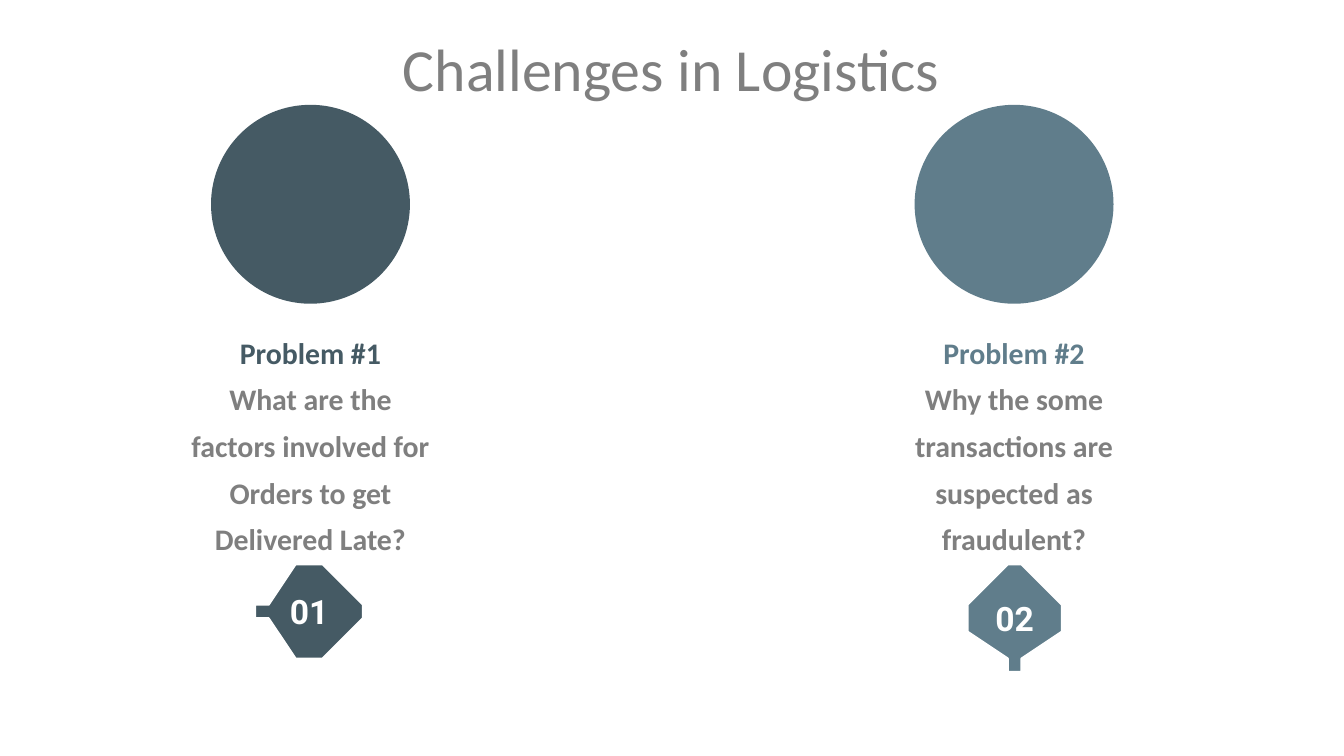
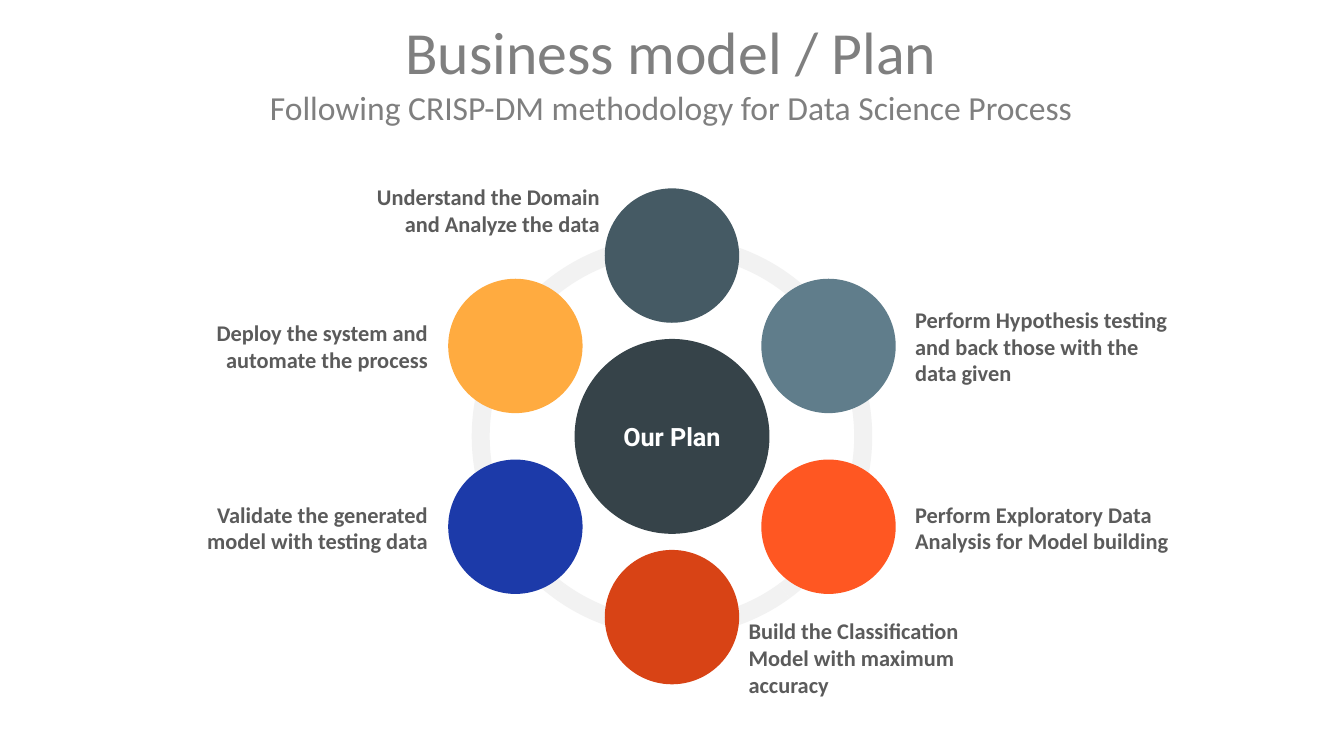
"""Two slides on logistics: the challenges and the plan."""
from copy import deepcopy
from dataclasses import dataclass
from math import cos, radians, sin

from pptx import Presentation, util as u
from pptx.dml.color import RGBColor
from pptx.enum import shapes, text

# The slide is a grid of square cells, 100 columns wide.
COLS, ROWS = 100, 56.25
CELL = u.Inches(0.1)

SLATE = RGBColor(0x45, 0x5A, 0x64)
STEEL = RGBColor(0x60, 0x7D, 0x8B)
CORAL = RGBColor(0xFF, 0x57, 0x22)
RUST = RGBColor(0xD8, 0x43, 0x15)
BLUE = RGBColor(0x1C, 0x3A, 0xA9)
AMBER = RGBColor(0xFF, 0xAB, 0x40)
DARK = RGBColor(0x36, 0x43, 0x49)
PALE = RGBColor(0xF2, 0xF2, 0xF2)
GREY = RGBColor(0x7F, 0x7F, 0x7F)
INK = RGBColor(0x5B, 0x5B, 0x5B)
WHITE = RGBColor(0xFF, 0xFF, 0xFF)

BODY, HEAD = "Calibri", "Roboto"
LEFT, MID, RIGHT = (text.PP_ALIGN.LEFT, text.PP_ALIGN.CENTER,
                    text.PP_ALIGN.RIGHT)
TOP, CORE = text.MSO_ANCHOR.TOP, text.MSO_ANCHOR.MIDDLE
OVAL, ARC = shapes.MSO_SHAPE.OVAL, shapes.MSO_SHAPE.BLOCK_ARC


@dataclass
class Line:
    """One run of text, set on a line of its own."""
    words: str
    size: float
    color: RGBColor
    name: str = BODY
    bold: bool = True


@dataclass
class Issue:
    """One problem column: its centre, texts and colour."""
    mid: float
    num: int
    ask: str
    color: RGBColor
    gem: float


@dataclass
class Step:
    """One stage of the plan, with the place of its label."""
    words: str
    color: RGBColor
    left: float
    top: float
    align: text.PP_ALIGN


ISSUES = [
    Issue(23.1, 1, "What are the factors involved for Orders to get "
          "Delivered Late?", SLATE, 45.75),
    Issue(75.45, 2, "Why the some transactions are suspected as "
          "fraudulent?", STEEL, 45.85),
]

# Clockwise from the top of the ring.
STEPS = [
    Step("Understand the Domain and Analyze the data",
         SLATE, 25.5, 14.7, RIGHT),
    Step("Perform Hypothesis testing and back those with the data given",
         STEEL, 68.1, 24.8, LEFT),
    Step("Perform Exploratory Data Analysis for Model building",
         CORAL, 68.1, 38.3, LEFT),
    Step("Build the Classification Model with maximum accuracy",
         RUST, 55.7, 48, LEFT),
    Step("Validate the generated model with testing data",
         BLUE, 12.7, 38.3, RIGHT),
    Step("Deploy the system and automate the process",
         AMBER, 12.7, 24.8, RIGHT),
]


def cells(*nums: float) -> list:
    """Turn grid counts into lengths."""
    return [u.Emu(round(n * CELL)) for n in nums]


def put(obj, **vals) -> None:
    """Set each named attribute of an object."""
    for key, val in vals.items():
        setattr(obj, key, val)


def write(shape, lines: list, align=MID, anchor=CORE, gap=None,
          pad=0.0) -> None:
    """Fill a shape with one paragraph of broken lines."""
    frame = shape.text_frame
    put(frame, word_wrap=True, auto_size=text.MSO_AUTO_SIZE.NONE,
        vertical_anchor=anchor)
    put(frame, **{f"margin_{side}": u.Inches(pad)
                  for side in ("left", "right", "top", "bottom")})
    para = frame.paragraphs[0]
    put(para, alignment=align, line_spacing=gap)
    last = None
    for line in lines:
        if last is not None:
            para.add_line_break()
            para._p[-1].append(deepcopy(last._r.rPr))
        last = para.add_run()
        last.text = line.words
        put(last.font, size=u.Pt(line.size), name=line.name,
            bold=line.bold)
        last.font.color.rgb = line.color


def head(slide, top: float, lines: list) -> None:
    """Place and write the slide title."""
    box = slide.shapes.title
    left, high, wide, tall = cells(4.2, top, 91.5, 5.4)
    put(box, left=left, top=high, width=wide, height=tall)
    write(box, lines)


def label(slide, at: tuple, lines: list, **form) -> None:
    """Add a text box at a place on the grid."""
    write(slide.shapes.add_textbox(*cells(*at)), lines, **form)


def paint(shape, color: RGBColor) -> None:
    """Give a shape a flat fill, with no line or shadow."""
    shape.shadow.inherit = False
    shape.fill.solid()
    shape.fill.fore_color.rgb = color
    shape.line.fill.background()


def disc(slide, x: float, y: float, size: float, color: RGBColor) -> None:
    """Draw a circle about a centre."""
    half = size / 2
    paint(slide.shapes.add_shape(
        OVAL, *cells(x - half, y - half, size, size)), color)


def gem(slide, x: float, y: float, color: RGBColor, word: str) -> None:
    """Draw a numbered diamond with round corners."""
    reach, bend = 2.8, 0.93
    dots = []
    for turn in range(0, 360, 90):
        for deg in range(turn - 45, turn + 46, 9):
            dots.append((
                x + reach * cos(radians(turn)) + bend * cos(radians(deg)),
                y + reach * sin(radians(turn)) + bend * sin(radians(deg))))
    path = slide.shapes.build_freeform(*dots[0], scale=float(CELL))
    path.add_line_segments(dots[1:], close=True)
    shape = path.convert_to_shape()
    paint(shape, color)
    shape.line.color.rgb = WHITE
    shape.line.width = u.Pt(1)
    write(shape, [Line(word, 18, WHITE, HEAD)], pad=0.05)


def ring(slide, x: float, y: float, size: float) -> None:
    """Draw the pale ring as a group of arcs."""
    group = slide.shapes.add_group_shape()
    marks = [*range(18, 199, 36), 18]
    for start, end in zip(marks, marks[1:]):
        arc = group.shapes.add_shape(
            ARC, *cells(x - size / 2, y - size / 2, size, size))
        for num, val in enumerate((start * 0.6, end * 0.6, 0.045)):
            arc.adjustments[num] = val
        paint(arc, PALE)


def issues(slide) -> None:
    """Build the slide of challenges."""
    head(slide, 2.3, [Line("Challenges in Logistics", 32, GREY, bold=False)])
    for one in ISSUES:
        disc(slide, one.mid, 15.2, 14.8, one.color)
        label(slide, (one.mid - 9.4, 24.1, 18.8, 18),
              [Line(f"Problem #{one.num}", 16, one.color),
               Line(one.ask, 16, GREY)], anchor=TOP, gap=1.3)
        gem(slide, one.mid, one.gem, one.color, f"{one.num:02}")


def plan(slide) -> None:
    """Build the slide of the plan."""
    head(slide, 2.6, [
        Line("Business model / Plan", 32, GREY, bold=False),
        Line("Following CRISP-DM methodology for Data Science Process",
             18, GREY, bold=False)])
    x, y, reach = COLS / 2, 32.47, 13.45
    disc(slide, x, y, 14.5, DARK)
    ring(slide, x, y, 29.8)
    for num, step in enumerate(STEPS):
        turn = radians(num * 360 / len(STEPS))
        disc(slide, x + reach * sin(turn), y - reach * cos(turn), 10,
             step.color)
        label(slide, (step.left, step.top, 19.15, 1.9),
              [Line(step.words, 12, INK)], align=step.align)
    label(slide, (x - 5.15, y - 3.65, 10.3, 7.3),
          [Line("Our Plan", 13.5, WHITE, HEAD)], pad=0.05)


def main() -> None:
    """Make and save the deck."""
    deck = Presentation()
    deck.slide_width, deck.slide_height = cells(COLS, ROWS)
    for build in (issues, plan):
        build(deck.slides.add_slide(deck.slide_layouts[5]))
    deck.save("out.pptx")


main()
